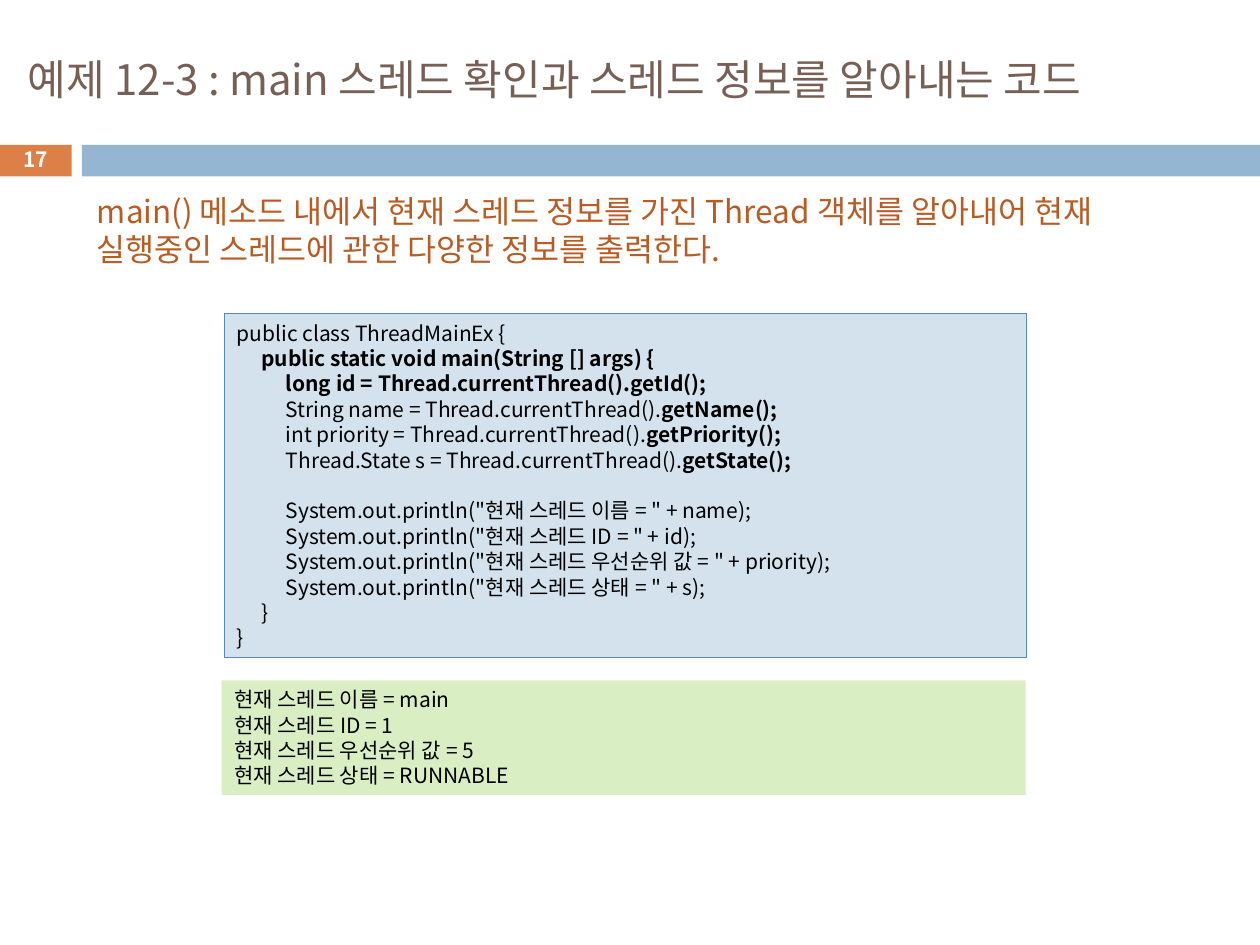
import pptx
import pptx.util
import pptx.dml.color
import pptx.enum.shapes
import pptx.enum.text
import pptx.oxml.ns
import lxml.etree

Inches = pptx.util.Inches
Pt = pptx.util.Pt
RGBColor = pptx.dml.color.RGBColor
MIDDLE = pptx.enum.text.MSO_ANCHOR.MIDDLE
TOP = pptx.enum.text.MSO_ANCHOR.TOP
LEFT = pptx.enum.text.PP_ALIGN.LEFT
CENTER = pptx.enum.text.PP_ALIGN.CENTER

FONT = "Noto Sans CJK KR"
ORANGE = RGBColor(0xDD, 0x80, 0x47)
BLUE = RGBColor(0x94, 0xB6, 0xD2)
BROWN = RGBColor(0x77, 0x5F, 0x55)
RUST = RGBColor(0xB9, 0x5B, 0x22)
PALE_BLUE = RGBColor(0xD4, 0xE2, 0xED)
EDGE_BLUE = RGBColor(0x55, 0x8B, 0xB8)
PALE_GREEN = RGBColor(0xDA, 0xEE, 0xC4)
BLACK = RGBColor(0, 0, 0)
WHITE = RGBColor(0xFF, 0xFF, 0xFF)

TAB_STEP = 0.195
LINE_RATIO = 1.205

CODE = [
    [("public class ThreadMainEx {", False)],
    [("\tpublic static void main(String [] args) {", True)],
    [("\t\tlong id = Thread.currentThread().getId();", True)],
    [("\t\tString name = Thread.currentThread().", False), ("getName();", True)],
    [("\t\tint priority = Thread.currentThread().", False), ("getPriority();", True)],
    [("\t\tThread.State s = Thread.currentThread().", False), ("getState();", True)],
    [],
    [('\t\tSystem.out.println("현재 스레드 이름 = " + name);', False)],
    [('\t\tSystem.out.println("현재 스레드 ID = " + id);', False)],
    [('\t\tSystem.out.println("현재 스레드 우선순위 값 = " + priority);', False)],
    [('\t\tSystem.out.println("현재 스레드 상태 = " + s);', False)],
    [("\t}", False)],
    [("}", False)],
]
OUTPUT = [
    "현재 스레드 이름 = main",
    "현재 스레드 ID = 1",
    "현재 스레드 우선순위 값 = 5",
    "현재 스레드 상태 = RUNNABLE",
]


def set_font(font, size, color):
    font.name = FONT
    font.size = Pt(size)
    font.color.rgb = color


def set_east_asian_font(r):
    ea = lxml.etree.SubElement(r.font._element, pptx.oxml.ns.qn("a:ea"))
    ea.set("typeface", FONT)


def add_tab_stops(p):
    qn = pptx.oxml.ns.qn
    tabs = lxml.etree.Element(qn("a:tabLst"))
    for level in (1, 2):
        tab = lxml.etree.SubElement(tabs, qn("a:tab"))
        tab.set("pos", str(Inches(TAB_STEP * level)))
        tab.set("algn", "l")
    props = p._p.get_or_add_pPr()
    props.find(qn("a:defRPr")).addprevious(tabs)


def write_lines(tf, lines, size, color, align=LEFT, anchor=TOP):
    tf.word_wrap = True
    tf.vertical_anchor = anchor
    for i, line in enumerate(lines):
        p = tf.add_paragraph() if i else tf.paragraphs[0]
        p.alignment = align
        p.line_spacing = Pt(round(size * LINE_RATIO, 1))
        p.space_before = Pt(0)
        set_font(p.font, size, color)
        for text, bold in line:
            r = p.add_run()
            r.text = text
            r.font.bold = bold
            set_east_asian_font(r)
        if any(text.startswith("\t") for text, _ in line):
            add_tab_stops(p)


def add_rect(s, left, top, width, height, fill, edge=None):
    sp = s.shapes.add_shape(
        pptx.enum.shapes.MSO_SHAPE.RECTANGLE,
        Inches(left), Inches(top), Inches(width), Inches(height))
    sp.shadow.inherit = False
    sp.fill.solid()
    sp.fill.fore_color.rgb = fill
    if edge is None:
        sp.line.fill.background()
    else:
        sp.line.color.rgb = edge
        sp.line.width = Pt(0.75)
    return sp


def add_text(s, left, top, width, height, *style, **layout):
    sp = s.shapes.add_textbox(
        Inches(left), Inches(top), Inches(width), Inches(height))
    write_lines(sp.text_frame, *style, **layout)


def set_title(s, text):
    sp = s.shapes.title
    sp.left, sp.top = Inches(0.12), Inches(0.25)
    sp.width, sp.height = Inches(9.47), Inches(0.74)
    write_lines(sp.text_frame, [[(text, False)]], 24, BROWN, anchor=MIDDLE)


def main():
    prs = pptx.Presentation()
    prs.slide_width, prs.slide_height = Inches(10), Inches(7.5)
    s = prs.slides.add_slide(prs.slide_layouts[5])

    add_rect(s, 0, 1.15, 0.57, 0.25, ORANGE)
    add_rect(s, 0.65, 1.15, 9.35, 0.25, BLUE)
    set_title(s, "예제 12-3 : main 스레드 확인과 스레드 정보를 알아내는 코드")
    add_text(s, 0, 1.13, 0.57, 0.27, [[("17", True)]], 12, WHITE,
             align=CENTER, anchor=MIDDLE)

    code = add_rect(s, 1.78, 2.49, 6.37, 2.73, PALE_BLUE, EDGE_BLUE)
    write_lines(code.text_frame, CODE, 12, BLACK)
    output = add_rect(s, 1.76, 5.4, 6.38, 0.91, PALE_GREEN)
    write_lines(output.text_frame, [[(line, False)] for line in OUTPUT], 12, BLACK)

    summary = ("main() 메소드 내에서 현재 스레드 정보를 가진 Thread 객체를 알아내어 "
               "현재 실행중인 스레드에 관한 다양한 정보를 출력한다.")
    add_text(s, 0.67, 1.47, 8.19, 0.71, [[(summary, False)]], 18, RUST)
    prs.save("out.pptx")


if __name__ == "__main__":
    main()
